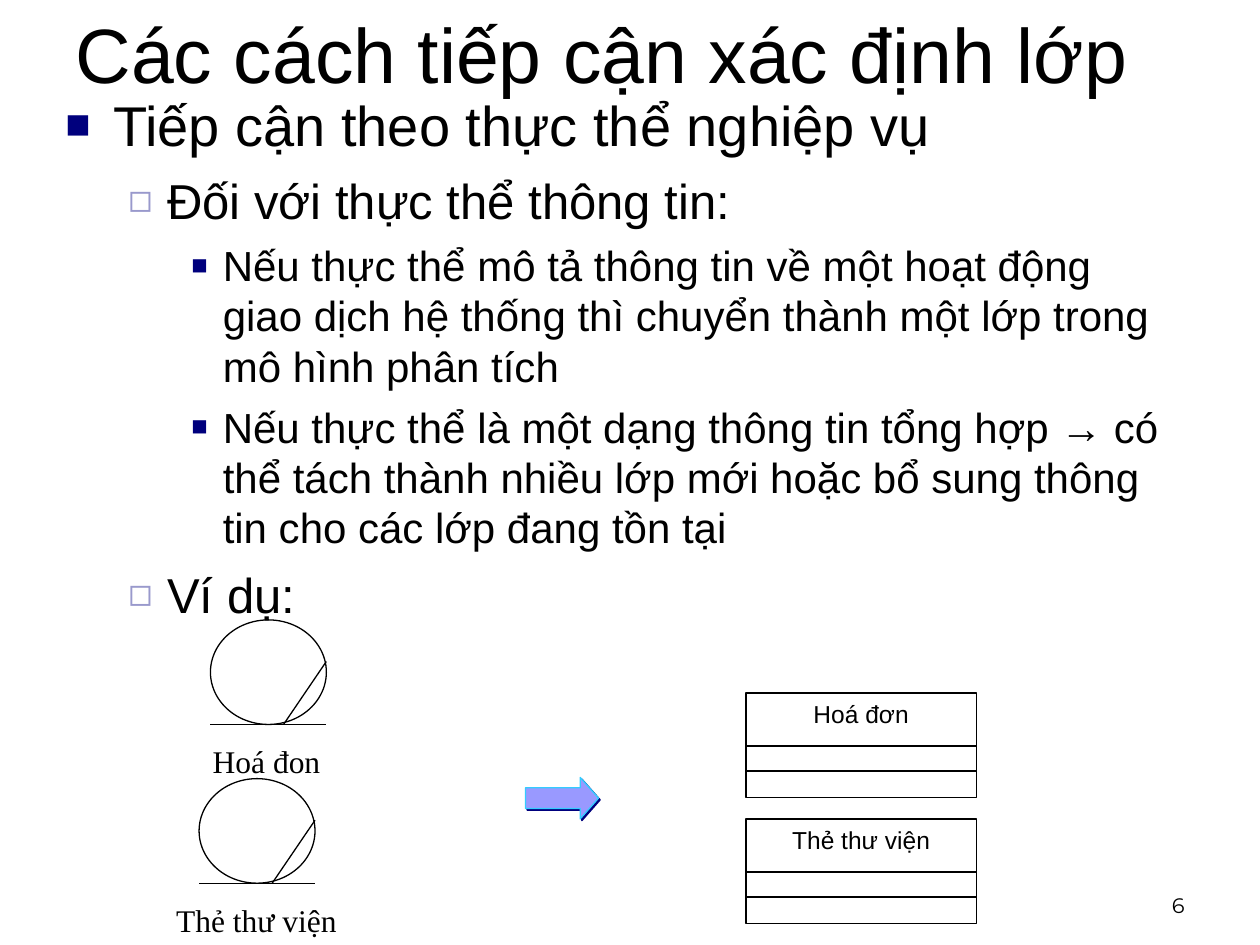
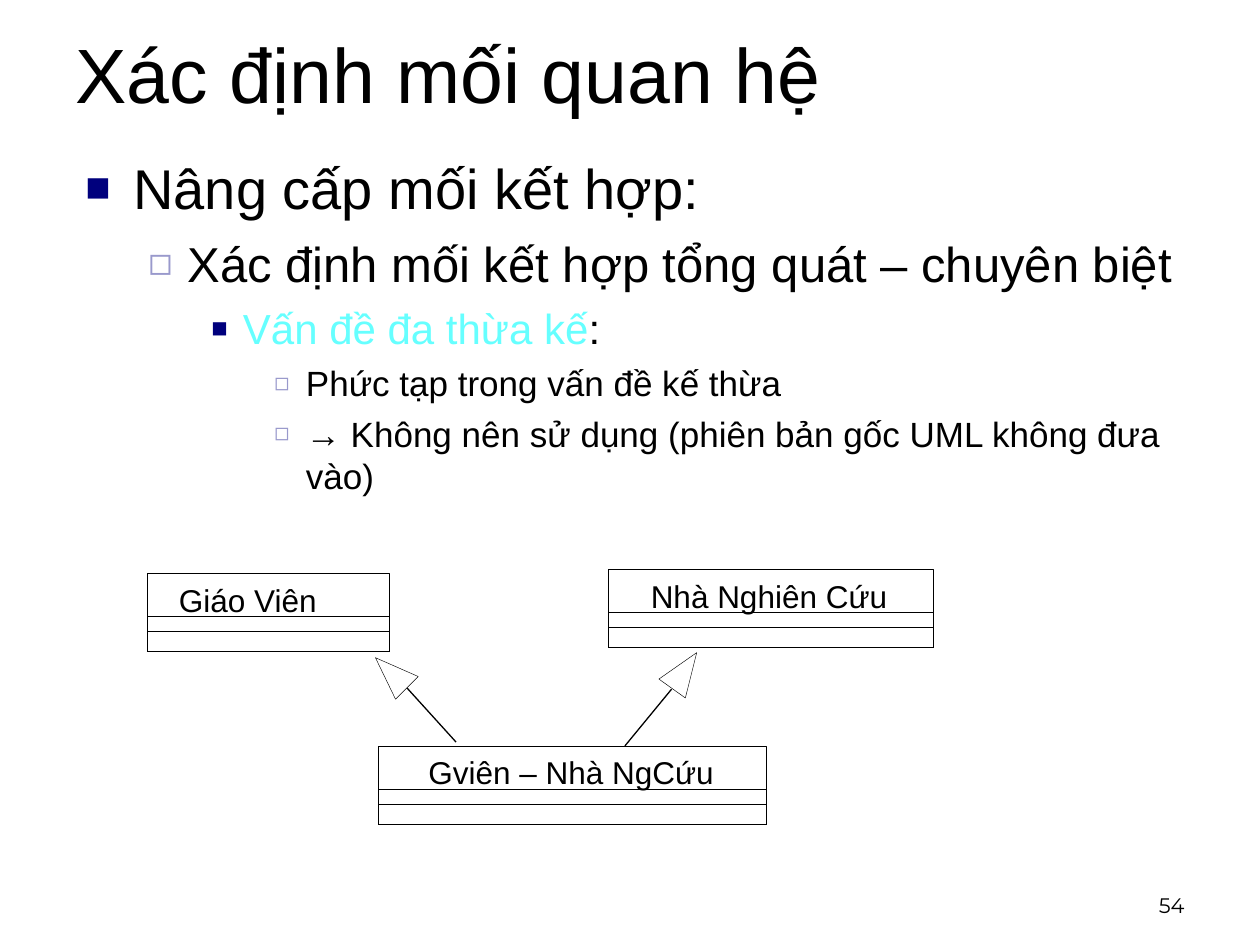
import pptx
import pptx.dml.color
import pptx.enum.shapes
import pptx.enum.text
import pptx.oxml
import pptx.oxml.ns
import pptx.util
from lxml import etree

Inches, Pt = pptx.util.Inches, pptx.util.Pt
RGBColor = pptx.dml.color.RGBColor
MSO_SHAPE = pptx.enum.shapes.MSO_SHAPE
MSO_ANCHOR = pptx.enum.text.MSO_ANCHOR
PP_ALIGN = pptx.enum.text.PP_ALIGN
qn = pptx.oxml.ns.qn

# Shared colours and fonts
BLACK = RGBColor(0x00, 0x00, 0x00)
WHITE = RGBColor(0xFF, 0xFF, 0xFF)
NAVY = RGBColor(0x00, 0x00, 0x7D)
LAVENDER = RGBColor(0x99, 0x99, 0xCC)
PERIWINKLE = RGBColor(0x99, 0x99, 0xFF)
SKY = RGBColor(0x33, 0xCC, 0xFF)
CYAN = RGBColor(0x66, 0xFF, 0xFF)
SANS, SERIF, NUMBER_FONT = "Arial", "Times New Roman", "Montserrat"

# Outline levels: size, space before, left margin, hanging, bullet, colour, bullet %
LEVELS = [
    (32, 8, 0.38, 0.38, "■", NAVY, 75),
    (28, 7, 0.81, 0.31, "◻", LAVENDER, 80),
    (24, 6, 1.25, 0.25, "■", NAVY, 65),
    (20, 5, 1.75, 0.25, "◻", LAVENDER, 70),
]


def format_run(r, size, name=SANS, color=BLACK):
    r.font.size = Pt(size)
    r.font.name = name
    r.font.color.rgb = color


def set_text(tf, text, size, name=SANS, align=PP_ALIGN.LEFT):
    tf.text = text
    p = tf.paragraphs[0]
    p.alignment = align
    format_run(p.runs[0], size, name)


def add_title_slide(prs, title, top, number):
    slide = prs.slides.add_slide(prs.slide_layouts[5])
    sp = slide.shapes.title
    sp.left, sp.top = Inches(0.5), Inches(top)
    sp.width, sp.height = Inches(9), Inches(1.5)
    tf = sp.text_frame
    tf.auto_size = pptx.enum.text.MSO_AUTO_SIZE.NONE
    tf.vertical_anchor = MSO_ANCHOR.MIDDLE
    set_text(tf, title, 44)
    tf = add_label(slide, number, 7.17, 6.83, 2.33, 0.5, 12, NUMBER_FONT, PP_ALIGN.RIGHT)
    tf.vertical_anchor = MSO_ANCHOR.BOTTOM
    return slide


def add_label(slide, text, x, y, w, h, size, name=SANS, align=PP_ALIGN.LEFT, wrap=True):
    box = slide.shapes.add_textbox(Inches(x), Inches(y), Inches(w), Inches(h))
    tf = box.text_frame
    tf.word_wrap = wrap
    set_text(tf, text, size, name, align)
    return tf


def set_bullet(p, level):
    _, _, margin, hanging, char, color, percent = LEVELS[level]
    pPr = p._p.get_or_add_pPr()
    pPr.set("marL", str(Inches(margin)))
    pPr.set("indent", str(-Inches(hanging)))
    clr = etree.SubElement(pPr, qn("a:buClr"))
    etree.SubElement(clr, qn("a:srgbClr"), val=str(color))
    etree.SubElement(pPr, qn("a:buSzPct"), val=str(percent * 1000))
    etree.SubElement(pPr, qn("a:buFont"), typeface=SANS)
    etree.SubElement(pPr, qn("a:buChar"), char=char)


def add_outline(slide, x, y, items):
    """Each item is a level followed by (text, colour) pieces."""
    box = slide.shapes.add_textbox(Inches(x), Inches(y), Inches(9), Inches(4.95))
    tf = box.text_frame
    tf.word_wrap = True
    for i, (level, *pieces) in enumerate(items):
        p = tf.add_paragraph() if i else tf.paragraphs[0]
        p.level = level
        set_bullet(p, level)
        size, before = LEVELS[level][:2]
        if i:
            p.space_before = Pt(before)
        for text, color in pieces:
            r = p.add_run()
            r.text = text
            format_run(r, size, color=color)


def style_shape(sp, fill=None, line=BLACK, width=0.75):
    sp.shadow.inherit = False
    if fill is None:
        sp.fill.background()
    else:
        sp.fill.solid()
        sp.fill.fore_color.rgb = fill
    sp.line.color.rgb = line
    sp.line.width = Pt(width)


def add_shape(slide, kind, x, y, w, h, **style):
    sp = slide.shapes.add_shape(kind, Inches(x), Inches(y), Inches(w), Inches(h))
    style_shape(sp, **style)
    return sp


def add_line(slide, x1, y1, x2, y2):
    line = slide.shapes.add_connector(
        pptx.enum.shapes.MSO_CONNECTOR.STRAIGHT,
        Inches(x1), Inches(y1), Inches(x2), Inches(y2))
    line.line.color.rgb = BLACK
    line.line.width = Pt(0.75)
    etree.SubElement(line._element.spPr, qn("a:effectLst"))


def add_entity(slide, name, x, y, label_x, label_w):
    """Entity symbol: circle on a base line, with a slanted stroke."""
    w, h = 0.92, 0.83
    add_shape(slide, MSO_SHAPE.OVAL, x, y, w, h)
    add_line(slide, x, y + h, x + w, y + h)
    add_line(slide, x + w, y + 0.33, x + 0.58, y + h)
    add_label(slide, name, label_x, y + 0.92, label_w, 0.4, 18, SERIF, wrap=False)


def add_class_box(slide, name, y):
    x, w = 5.92, 1.83
    sp = add_shape(slide, MSO_SHAPE.RECTANGLE, x, y, w, 0.83)
    sp.text_frame.vertical_anchor = MSO_ANCHOR.TOP
    set_text(sp.text_frame, name, 14, align=PP_ALIGN.CENTER)
    for offset in (0.42, 0.62):
        add_line(slide, x, y + offset, x + w, y + offset)


def add_compact_class(slide, name, x, y, w, label_w):
    """Class box whose compartments all end at the same bottom edge."""
    h = 0.62
    for offset in (0, 0.34, 0.46):
        add_shape(slide, MSO_SHAPE.RECTANGLE, x, y + offset, w, h - offset, width=0.2)
    tf = add_label(slide, name, x + (w - label_w) / 2, y + 0.06, label_w, 0.3, 18)
    tf.margin_left = tf.margin_right = tf.margin_top = tf.margin_bottom = 0


def add_inheritance(slide, head, start, end):
    """Hollow triangle at the parent class and a line to the child."""
    points = [(Inches(x), Inches(y)) for x, y in head]
    fb = slide.shapes.build_freeform(*points[0])
    fb.add_line_segments(points[1:], close=True)
    style_shape(fb.convert_to_shape(), fill=WHITE, width=0.25)
    add_line(slide, *start, *end)


def add_block_arrow(slide):
    sp = add_shape(slide, MSO_SHAPE.RIGHT_ARROW, 4.17, 6.17, 0.58, 0.33,
                   fill=PERIWINKLE, line=SKY)
    sp.adjustments[1] = 0.44
    effects = sp._element.spPr.find(qn("a:effectLst"))
    shadow = etree.SubElement(effects, qn("a:outerShdw"), dist=str(Pt(1.4)),
                              dir=str(45 * 60000), algn="ctr", rotWithShape="0")
    etree.SubElement(shadow, qn("a:srgbClr"), val=str(NAVY))


def build_class_approach(prs):
    slide = add_title_slide(prs, "Các cách tiếp cận xác định lớp", -0.33, "6")
    add_outline(slide, 0.42, 0.67, [
        (0, ("Tiếp cận theo thực thể nghiệp vụ", BLACK)),
        (1, ("Đối với thực thể thông tin:", BLACK)),
        (2, ("Nếu thực thể mô tả thông tin về một hoạt động giao dịch hệ thống "
             "thì chuyển thành một lớp trong mô hình phân tích", BLACK)),
        (2, ("Nếu thực thể là một dạng thông tin tổng hợp → có thể tách thành "
             "nhiều lớp mới hoặc bổ sung thông tin cho các lớp đang tồn tại", BLACK)),
        (1, ("Ví dụ:", BLACK)),
    ])
    # Entities become classes
    add_entity(slide, "Hoá đon", 1.67, 4.92, 1.59, 1.2)
    add_entity(slide, "Thẻ thư viện", 1.58, 6.18, 1.3, 1.71)
    add_block_arrow(slide)
    add_class_box(slide, "Hoá đơn", 5.5)
    add_class_box(slide, "Thẻ thư viện", 6.5)


def build_relationships(prs):
    slide = add_title_slide(prs, "Xác định mối quan hệ", -0.17, "54")
    add_outline(slide, 0.58, 1.17, [
        (0, ("Nâng cấp mối kết hợp:", BLACK)),
        (1, ("Xác định mối kết hợp tổng quát – chuyên biệt", BLACK)),
        (2, ("Vấn đề đa thừa kế", CYAN), (":", BLACK)),
        (3, ("Phức tạp trong vấn đề kế thừa", BLACK)),
        (3, ("→ Không nên sử dụng (phiên bản gốc UML không đưa vào)", BLACK)),
    ])
    # Multiple inheritance diagram
    add_compact_class(slide, "Giáo Viên", 1.17, 4.55, 1.92, 1.42)
    add_compact_class(slide, "Nhà Nghiên Cứu", 4.83, 4.52, 2.58, 1.91)
    add_compact_class(slide, "Gviên – Nhà NgCứu", 3, 5.92, 3.08, 2.28)
    add_inheritance(slide, [(5.53, 5.18), (5.44, 5.54), (5.23, 5.39)],
                    (5.33, 5.47), (4.96, 5.92))
    add_inheritance(slide, [(2.98, 5.22), (3.32, 5.37), (3.14, 5.55)],
                    (3.23, 5.46), (3.62, 5.89))


def main():
    prs = pptx.Presentation()
    prs.slide_width, prs.slide_height = Inches(10), Inches(7.5)
    build_class_approach(prs)
    build_relationships(prs)
    prs.save("out.pptx")


if __name__ == "__main__":
    main()
